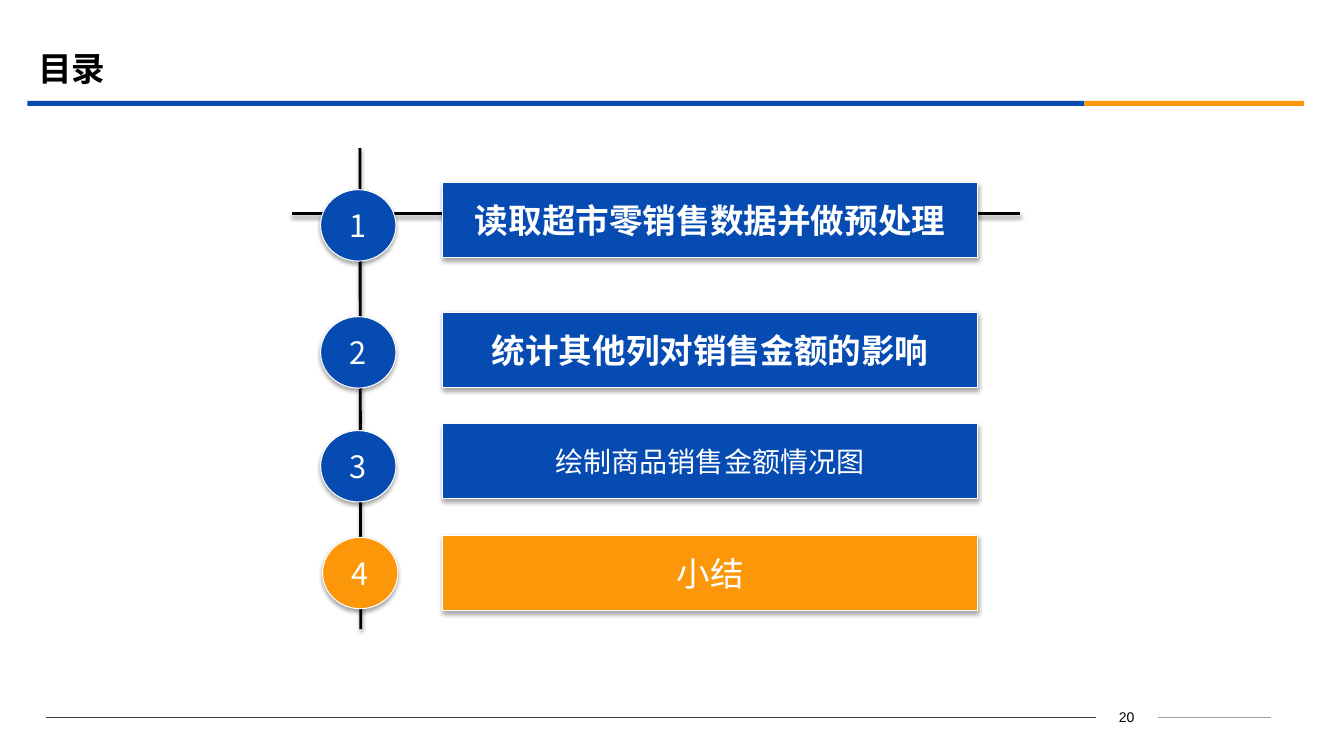
from pptx import Presentation
from pptx.dml.color import RGBColor
from pptx.enum.shapes import MSO_CONNECTOR, MSO_SHAPE
from pptx.enum.text import MSO_ANCHOR, PP_ALIGN
from pptx.oxml.xmlchemy import OxmlElement
from pptx.util import Cm, Pt

BLUE = RGBColor(0x06, 0x4B, 0xB2)
ORANGE = RGBColor(0xFB, 0x97, 0x08)
WHITE = RGBColor(0xFF, 0xFF, 0xFF)
BLACK = RGBColor(0, 0, 0)
DARK = RGBColor(0x40, 0x40, 0x40)
GREY = RGBColor(0xA0, 0xA0, 0xA0)

STRAIGHT = MSO_CONNECTOR.STRAIGHT
RECT, OVAL = MSO_SHAPE.RECTANGLE, MSO_SHAPE.OVAL
BUTTON = MSO_SHAPE.ACTION_BUTTON_CUSTOM
MIDDLE = MSO_ANCHOR.MIDDLE
LEFT, CENTER = PP_ALIGN.LEFT, PP_ALIGN.CENTER

HAN = "Noto Sans CJK SC"
LATIN = "Calibri"

# label, size, bold, font, fill, badge left, badge top, bar top
ITEMS = [
    ("读取超市零销售数据并做预处理", 24, True, LATIN, BLUE, 0.71, 1.05, 0.87),
    ("统计其他列对销售金额的影响", 24, True, LATIN, BLUE, 0.71, 4.25, 4.14),
    ("绘制商品销售金额情况图", 20, False, LATIN, BLUE, 0.71, 7.12, 6.94),
    ("小结", 24, False, HAN, ORANGE, 0.76, 9.81, 9.76),
]


def write(shape, text, size, color, font=HAN, bold=False, align=CENTER):
    frame = shape.text_frame
    frame.text = text
    frame.vertical_anchor = MIDDLE
    para = frame.paragraphs[0]
    para.alignment = align
    run = para.runs[0]
    run.font.size = Pt(size)
    run.font.bold = bold
    run.font.color.rgb = color
    run.font.name = font
    asian = OxmlElement("a:ea")
    asian.set("typeface", HAN)
    run.font._element.append(asian)


def shade(shape, alpha=0, dist=0):
    """Replace the theme shadow; without alpha there is none."""
    props = shape.element.spPr
    for old in props.findall("{*}effectLst"):
        props.remove(old)
    effects = OxmlElement("a:effectLst")
    props.append(effects)
    if alpha:
        shadow = OxmlElement("a:outerShdw")
        shadow.set("blurRad", str(Pt(3.1)))
        shadow.set("dist", str(Pt(dist)))
        shadow.set("dir", "5400000")
        shadow.set("rotWithShape", "0")
        tone = OxmlElement("a:srgbClr")
        tone.set("val", str(BLACK))
        level = OxmlElement("a:alpha")
        level.set("val", str(alpha * 1000))
        tone.append(level)
        shadow.append(tone)
        effects.append(shadow)


def add_line(slide, x1, y1, x2, y2, color, width):
    line = slide.shapes.add_connector(STRAIGHT, Cm(x1), Cm(y1), Cm(x2), Cm(y2))
    line.line.color.rgb = color
    line.line.width = Pt(width)
    shade(line)
    return line


def add_block(slide, kind, x, y, w, h, fill):
    block = slide.shapes.add_shape(kind, Cm(x), Cm(y), Cm(w), Cm(h))
    block.fill.solid()
    block.fill.fore_color.rgb = fill
    block.line.fill.background()
    block.shadow.inherit = False
    return block


def add_button(slide, kind, x, y, w, h, fill):
    button = add_block(slide, kind, x, y, w, h, fill)
    button.line.color.rgb = WHITE
    button.line.width = Pt(0.75)
    shade(button, 35, 1.8)
    button.text_frame.word_wrap = False
    return button


def add_header(slide, x, y, w, h):
    # Title
    title = slide.shapes.title
    title.left, title.top = Cm(x + 0.02), Cm(y)
    title.width, title.height = Cm(30.48), Cm(1.47)
    write(title, "目录", 24, BLACK, bold=True, align=LEFT)
    # Two-colour rule along the bottom
    split, thick = 26.64, 0.13
    base = y + h - thick
    add_block(slide, RECT, x, base, split, thick, BLUE)
    add_block(slide, RECT, x + split, base, w - split, thick, ORANGE)


def add_agenda(slide, x, y, w, h):
    # Crossing axes
    axes = [
        add_line(slide, x + 1.7, y, x + 1.72, y + h, BLACK, 2),
        add_line(slide, x, y + 1.65, x + w, y + 1.65, BLACK, 2),
    ]
    for axis in axes:
        shade(axis, 38, 1.6)
    # Numbered badges with their bars
    for num, item in enumerate(ITEMS, 1):
        label, size, bold, font, fill, left, top, bar_top = item
        badge = add_button(slide, OVAL, x + left, y + top, 1.9, 1.8, fill)
        write(badge, str(num), 22, WHITE)
        bar = add_button(slide, BUTTON, x + 3.78, y + bar_top, 13.49, 1.9, fill)
        write(bar, label, size, WHITE, font, bold)


def add_footer(slide, x, y, w, h):
    # Page number
    left, width = x + 26.44, 1.57
    page = slide.shapes.add_textbox(Cm(left), Cm(y), Cm(width), Cm(h))
    page.text_frame.word_wrap = True
    write(page, "20", 10, BLACK, "Arial")
    # Lines on both sides of it
    mid = y + h / 2
    before = add_line(slide, x, mid, left, mid, DARK, 0.75)
    before.end_connect(page, 1)
    after = add_line(slide, left + width, mid, x + w, mid, GREY, 0.75)
    after.begin_connect(page, 3)


def main():
    deck = Presentation()
    deck.slide_width, deck.slide_height = Cm(33.87), Cm(19.05)
    slide = deck.slides.add_slide(deck.slide_layouts[5])
    add_header(slide, 0.69, 0.99, 32.18, 1.68)
    add_agenda(slide, 7.37, 3.73, 18.33, 12.12)
    add_footer(slide, 1.17, 17.75, 30.86, 0.64)
    deck.save("out.pptx")


if __name__ == "__main__":
    main()
